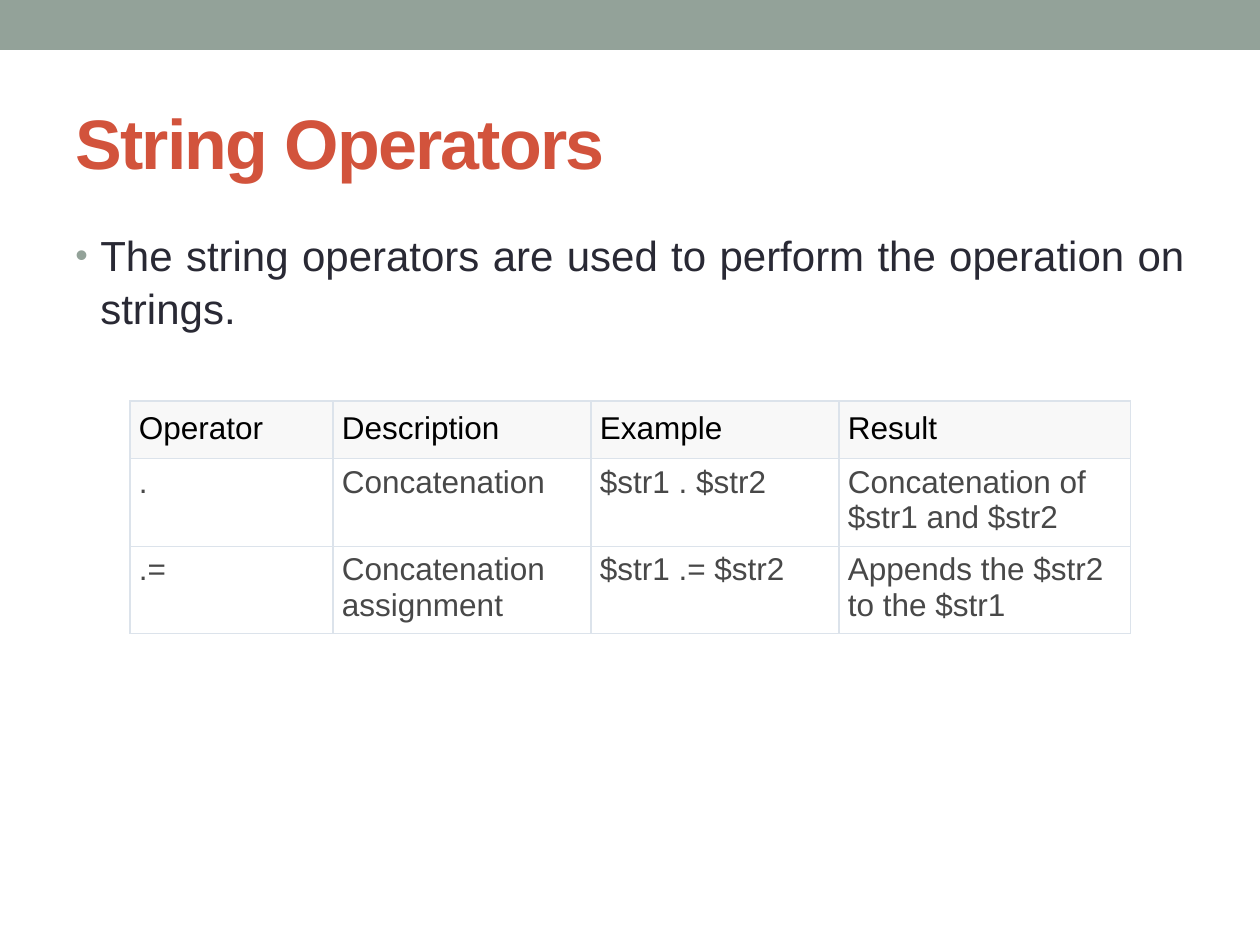
import pptx
import pptx.util
import pptx.dml.color
import pptx.enum.shapes
import pptx.enum.text
import pptx.oxml
import pptx.oxml.ns

# Content
TITLE = "String Operators"
BODY = "The string operators are used to perform the operation on strings."
TABLE_ROWS = [
    ("Operator", "Description", "Example", "Result"),
    (".", "Concatenation", "$str1 . $str2", "Concatenation of $str1 and $str2"),
    (".=", "Concatenation assignment", "$str1 .= $str2", "Appends the $str2 to the $str1"),
]

# Layout in px, 126 to the inch
SLIDE_SIZE = (1260, 945)
BAND_BOX = (0, 0, 1260, 50)
TITLE_BOX = (63, 73, 1134, 136)
BODY_BOX = (63, 221, 1134, 672)
TABLE_ORIGIN = (130, 401)
COLUMN_WIDTHS = (203, 258, 248, 292)
ROW_HEIGHTS = (56, 84, 84)
BULLET_INDENT = 25

FONT = "Arial"
SAGE, RUST, INK = "93A299", "D2533C", "292934"
HEADER_FILL, CELL_FILL, BORDER = "F8F8F8", "FFFFFF", "DCE3EB"
HEADER_TEXT, CELL_TEXT = "000000", "484848"


def px(length):
    return pptx.util.Emu(round(length * 914400 / 126))


def color(hex_string):
    return pptx.dml.color.RGBColor.from_string(hex_string)


def xml(markup):
    return pptx.oxml.parse_xml(markup.replace(">", f' {pptx.oxml.ns.nsdecls("a")}>', 1))


def write(frame, text, size, text_color, bold=False, align=None, line_spacing=None, tracking=None):
    frame.word_wrap = True
    paragraph = frame.paragraphs[0]
    paragraph.alignment = align
    paragraph.line_spacing = line_spacing
    run = paragraph.add_run()
    run.text = text
    run.font.name = FONT
    run.font.size = pptx.util.Pt(size)
    run.font.bold = bold
    run.font.color.rgb = color(text_color)
    if tracking is not None:
        run.font._element.set("spc", str(tracking * 100))
    return paragraph


def add_bullet(paragraph, bullet_color, percent):
    properties = paragraph._p.get_or_add_pPr()
    properties.set("marL", str(px(BULLET_INDENT)))
    properties.set("indent", str(-px(BULLET_INDENT)))
    for markup in (
        f'<a:buClr><a:srgbClr val="{bullet_color}"/></a:buClr>',
        f'<a:buSzPct val="{percent * 1000}"></a:buSzPct>',
        f'<a:buFont typeface="{FONT}"></a:buFont>',
        '<a:buChar char="•"></a:buChar>',
    ):
        properties.append(xml(markup))


def style_cell(cell, fill, vertical_margin):
    cell.margin_left = cell.margin_right = px(9)
    cell.margin_top = cell.margin_bottom = px(vertical_margin)
    cell.fill.solid()
    cell.fill.fore_color.rgb = color(fill)
    properties = cell._tc.get_or_add_tcPr()
    for index, side in enumerate(("lnL", "lnR", "lnT", "lnB")):
        properties.insert(index, xml(
            f'<a:{side} w="{pptx.util.Pt(0.75)}"><a:solidFill>'
            f'<a:srgbClr val="{BORDER}"/></a:solidFill></a:{side}>'))


def add_operator_table(slide):
    table = slide.shapes.add_table(
        len(TABLE_ROWS), len(COLUMN_WIDTHS), *map(px, TABLE_ORIGIN),
        px(sum(COLUMN_WIDTHS)), px(sum(ROW_HEIGHTS))).table
    for column, width in zip(table.columns, COLUMN_WIDTHS):
        column.width = px(width)
    for row_index, texts in enumerate(TABLE_ROWS):
        table.rows[row_index].height = px(ROW_HEIGHTS[row_index])
        header = row_index == 0
        for column_index, text in enumerate(texts):
            cell = table.cell(row_index, column_index)
            style_cell(cell, HEADER_FILL if header else CELL_FILL, 10 if header else 6)
            write(cell.text_frame, text, 18, HEADER_TEXT if header else CELL_TEXT)


def main():
    presentation = pptx.Presentation()
    presentation.slide_width, presentation.slide_height = map(px, SLIDE_SIZE)
    slide = presentation.slides.add_slide(presentation.slide_layouts[6])

    # Top band
    band = slide.shapes.add_shape(pptx.enum.shapes.MSO_SHAPE.RECTANGLE, *map(px, BAND_BOX))
    band.shadow.inherit = False
    band.fill.solid()
    band.fill.fore_color.rgb = color(SAGE)
    band.line.fill.background()

    # Title
    title = slide.shapes.add_textbox(*map(px, TITLE_BOX)).text_frame
    title.vertical_anchor = pptx.enum.text.MSO_ANCHOR.MIDDLE
    write(title, TITLE, 40, RUST, bold=True, tracking=-1)

    # Bulleted statement
    body = slide.shapes.add_textbox(*map(px, BODY_BOX)).text_frame
    statement = write(body, BODY, 24, INK, align=pptx.enum.text.PP_ALIGN.JUSTIFY, line_spacing=1.05)
    add_bullet(statement, SAGE, 85)

    # Operator table
    add_operator_table(slide)
    presentation.save("out.pptx")


if __name__ == "__main__":
    main()
